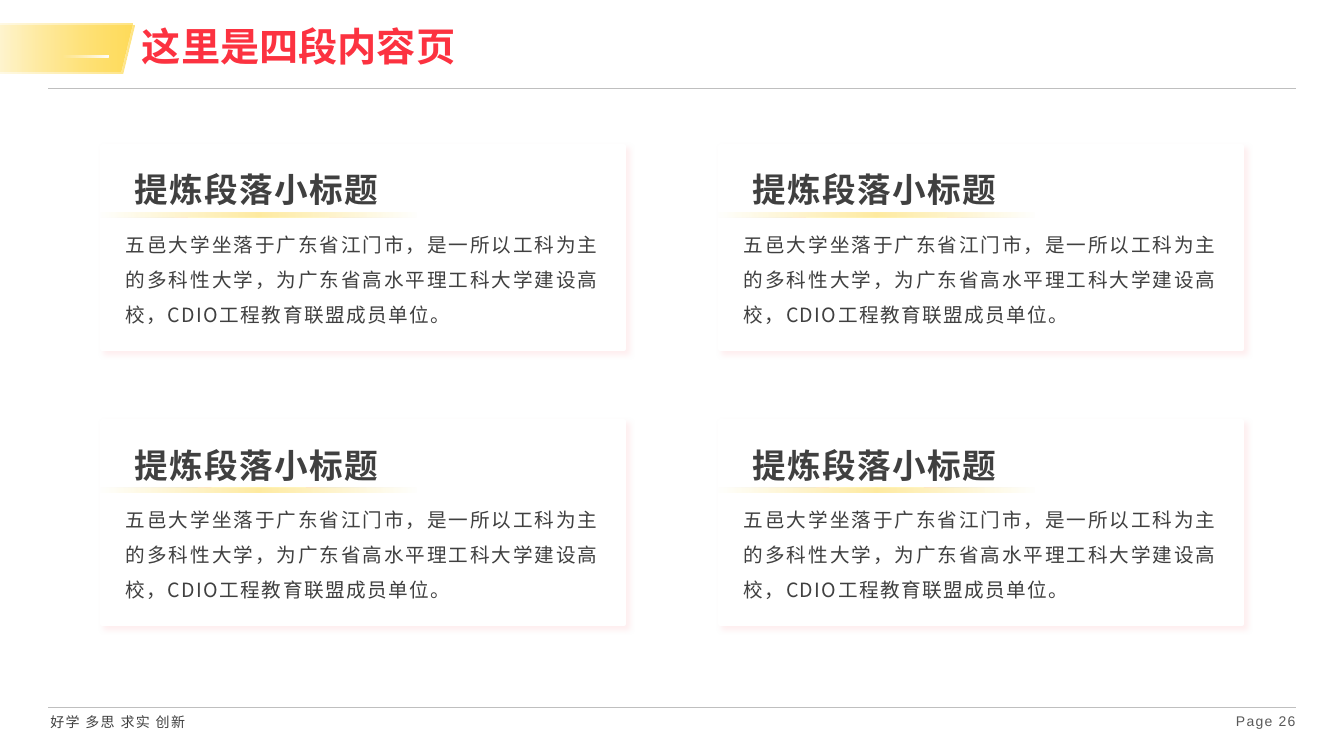
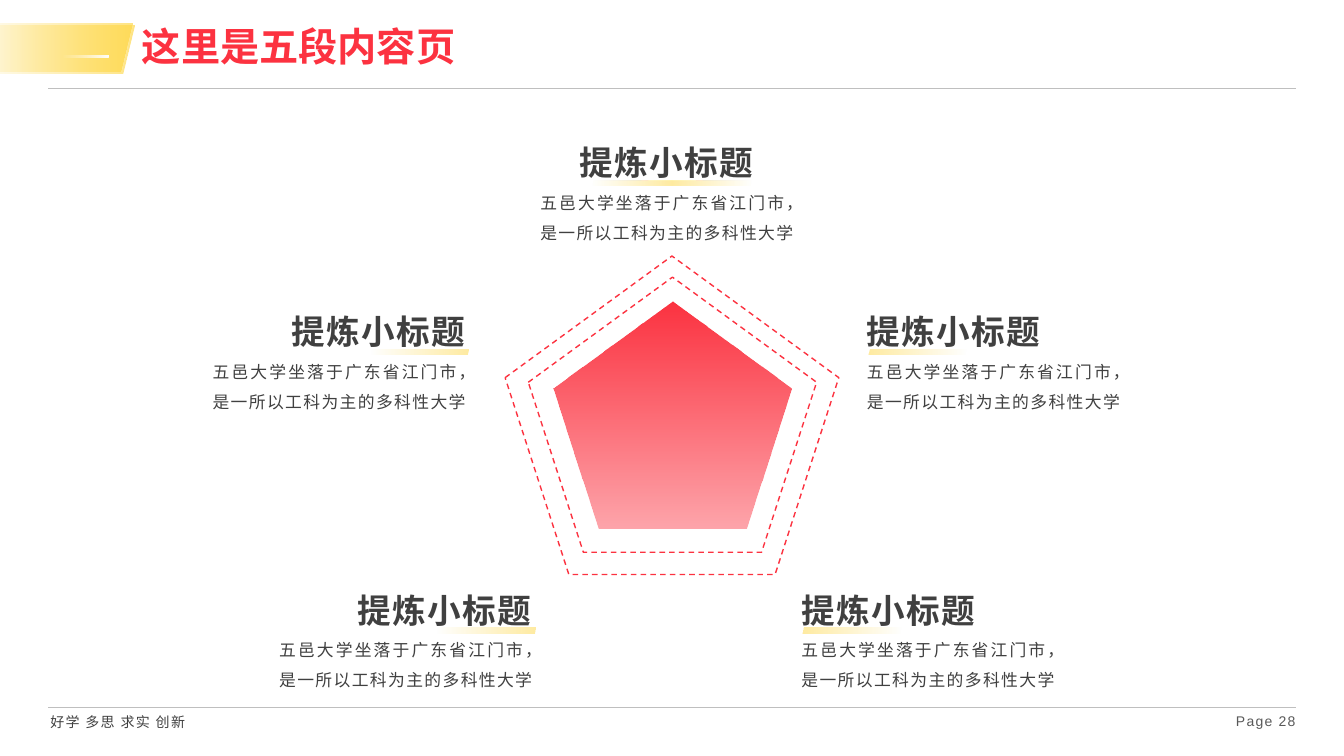
from pptx import Presentation, oxml
from pptx.dml.color import RGBColor
from pptx.enum import dml, shapes, text
from pptx.oxml import ns
from pptx.util import Inches, Pt

RED = RGBColor(0xFC, 0x32, 0x40)
YELLOW = RGBColor(0xFF, 0xD8, 0x47)
WHITE = RGBColor(0xFF, 0xFF, 0xFF)
DARK = RGBColor(0x40, 0x40, 0x40)
GREY = RGBColor(0x59, 0x59, 0x59)
RULE = RGBColor(0xBF, 0xBF, 0xBF)
PINK = RGBColor(0xFE, 0xD6, 0xD9)

CJK = "Noto Sans CJK SC"
LATIN = "Arial"
ALIGN = text.PP_ALIGN
SHAPE = shapes.MSO_SHAPE

MOTTO = "好学 多思 求实 创新"
CARD_HEADING = "提炼段落小标题"
CARD_BODY = ("五邑大学坐落于广东省江门市，是一所以工科为主的多科性大学，"
             "为广东省高水平理工科大学建设高校，CDIO工程教育联盟成员单位。")
POINT_HEADING = "提炼小标题"
POINT_BODY = "五邑大学坐落于广东省江门市，是一所以工科为主的多科性大学"

# Gradient stops: position and opacity in percent, from left to right
FADE_IN = [(0, 0), (100, 51)]
FADE_OUT = [(0, 51), (100, 0)]
GLOW = [(0, 0), (50, 51), (100, 0)]

# Per side: heading offset, accent offset, accent width, accent stops
POINT_STYLES = {
    "left": (0.78, 1.66, 0.98, FADE_IN),
    "center": (0.39, 0.62, 1.57, GLOW),
    "right": (0, 0.11, 0.98, FADE_OUT),
}
POINTS = [
    ("center", 5.26, 1.36),
    ("left", 2.01, 3.04),
    ("right", 8.5, 3.04),
    ("left", 2.67, 5.8),
    ("right", 7.85, 5.8),
]


def add_text(s, content, x, y, w, h, size=12, color=DARK, font=CJK, bold=False,
             align=ALIGN.JUSTIFY, line_spacing=None, tracking=1, grow=True,
             anchor=text.MSO_ANCHOR.TOP, right_inset=0.1):
    """Text box with one paragraph; tracking is in points."""
    tf = s.shapes.add_textbox(Inches(x), Inches(y), Inches(w), Inches(h)).text_frame
    tf.word_wrap = True
    tf.auto_size = (text.MSO_AUTO_SIZE.SHAPE_TO_FIT_TEXT if grow
                    else text.MSO_AUTO_SIZE.NONE)
    tf.vertical_anchor = anchor
    tf.margin_right = Inches(right_inset)
    p = tf.paragraphs[0]
    p.alignment = align
    if line_spacing:
        p.line_spacing = line_spacing
    r = p.add_run()
    r.text = content
    r.font.size = Pt(size)
    r.font.bold = bold
    r.font.color.rgb = color
    r.font.name = font
    rPr = r._r.get_or_add_rPr()
    rPr.set("spc", str(round(tracking * 100)))
    ea = oxml.parse_xml(f'<a:ea {ns.nsdecls("a")} typeface="{CJK}"/>')
    rPr.find(ns.qn("a:latin")).addnext(ea)


def add_heading(s, content, x, y, w):
    add_text(s, content, x, y, w, 0.5, size=24, bold=True)


def add_shape(s, kind, x, y, w, h):
    """Preset shape without fill, line or shadow."""
    sp = s.shapes.add_shape(kind, Inches(x), Inches(y), Inches(w), Inches(h))
    sp.shadow.inherit = False
    sp.fill.background()
    sp.line.fill.background()
    return sp


def set_gradient(sp, color, stops, angle=0):
    gs = "".join(
        f'<a:gs pos="{pos * 1000}"><a:srgbClr val="{color}">'
        f'<a:alpha val="{alpha * 1000}"/></a:srgbClr></a:gs>'
        for pos, alpha in stops)
    grad = oxml.parse_xml(
        f'<a:gradFill {ns.nsdecls("a")} rotWithShape="1"><a:gsLst>{gs}</a:gsLst>'
        f'<a:lin ang="{angle * 60000}" scaled="0"/></a:gradFill>')
    spPr = sp._element.spPr
    spPr.replace(spPr.find(ns.qn("a:noFill")), grad)


def add_slant(s, x, y, w, h, stops, color=YELLOW):
    set_gradient(add_shape(s, SHAPE.PARALLELOGRAM, x, y, w, h), color, stops)


def add_rule(s, y):
    line = s.shapes.add_connector(shapes.MSO_CONNECTOR.STRAIGHT, Inches(0.48),
                                  Inches(y), Inches(12.85), Inches(y))
    line.line.color.rgb = RULE
    line.line.width = Pt(0.5)
    line._element.spPr.append(oxml.parse_xml(f'<a:effectLst {ns.nsdecls("a")}/>'))


def add_page(prs, title, number):
    """Blank slide with the shared title band and footer."""
    s = prs.slides.add_slide(prs.slide_layouts[6])
    add_rule(s, 0.88)
    add_rule(s, 7.02)
    add_text(s, MOTTO, 0.4, 7.03, 2.15, 0.27, size=10, font=LATIN)
    add_text(s, f"Page {number}", 11.85, 7.02, 1, 0.32, size=10, color=GREY,
             font=LATIN, align=ALIGN.RIGHT, tracking=0.9, grow=False, right_inset=0)
    for x, y in ((-0.34, 0.25), (-0.36, 0.23)):
        add_slant(s, x, y, 1.67, 0.48, [(0, 0), (100, 68)])
    add_slant(s, 0.62, 0.55, 0.46, 0.02, [(0, 0), (100, 100)], WHITE)
    add_text(s, title, 1.31, 0.24, 8.99, 0.48, size=28, color=RED, bold=True,
             align=ALIGN.LEFT, line_spacing=0.9, tracking=0, grow=False,
             anchor=text.MSO_ANCHOR.MIDDLE)
    return s


def add_card(s, x, y):
    sp = add_shape(s, SHAPE.RECTANGLE, x, y, 5.18, 2.01)
    sp.fill.solid()
    sp.fill.fore_color.rgb = WHITE
    sp.line.color.rgb = WHITE
    sp.line.width = Pt(3)
    sp._element.spPr.find(ns.qn("a:effectLst")).append(oxml.parse_xml(
        f'<a:outerShdw {ns.nsdecls("a")} blurRad="{Pt(4)}" dist="{Pt(3)}" '
        f'dir="{45 * 60000}" algn="tl" rotWithShape="0"><a:srgbClr val="{PINK}">'
        '<a:alpha val="40000"/></a:srgbClr></a:outerShdw>'))
    add_heading(s, CARD_HEADING, x + 0.23, y + 0.18, 2.67)
    add_slant(s, x - 0.02, y + 0.66, 3.15, 0.05, GLOW)
    add_text(s, CARD_BODY, x + 0.14, y + 0.69, 4.89, 1.12, size=14, line_spacing=1.5)


def add_point(s, side, x, y):
    heading_dx, accent_dx, accent_w, stops = POINT_STYLES[side]
    add_heading(s, POINT_HEADING, x + heading_dx, y, 2.04)
    add_text(s, POINT_BODY, x, y + 0.4, 2.82, 0.67, line_spacing=1.5)
    add_slant(s, x + accent_dx, y + 0.43, accent_w, 0.05, stops)


def add_pentagons(s, x, y):
    """Filled pentagon inside two dashed ones, from the outer corner."""
    core = add_shape(s, SHAPE.REGULAR_PENTAGON, x + 0.48, y + 0.45, 2.36, 2.25)
    set_gradient(core, RED, [(0, 100), (100, 44)], angle=90)
    for dx, dy, w, h in ((0.23, 0.21, 2.86, 2.73), (0, 0, 3.31, 3.16)):
        ring = add_shape(s, SHAPE.REGULAR_PENTAGON, x + dx, y + dy, w, h)
        ring.line.color.rgb = RED
        ring.line.width = Pt(1)
        ring.line.dash_style = dml.MSO_LINE.DASH


def build_four_cards(prs):
    s = add_page(prs, "这里是四段内容页", 26)
    for row in range(2):
        for col in range(2):
            add_card(s, 1.01 + col * 6.13, 1.45 + row * 2.73)


def build_five_points(prs):
    s = add_page(prs, "这里是五段内容页", 28)
    add_pentagons(s, 5.01, 2.54)
    for side, x, y in POINTS:
        add_point(s, side, x, y)


def main():
    prs = Presentation()
    prs.slide_width = Inches(13.33)
    prs.slide_height = Inches(7.5)
    build_four_cards(prs)
    build_five_points(prs)
    prs.save("out.pptx")


if __name__ == "__main__":
    main()
